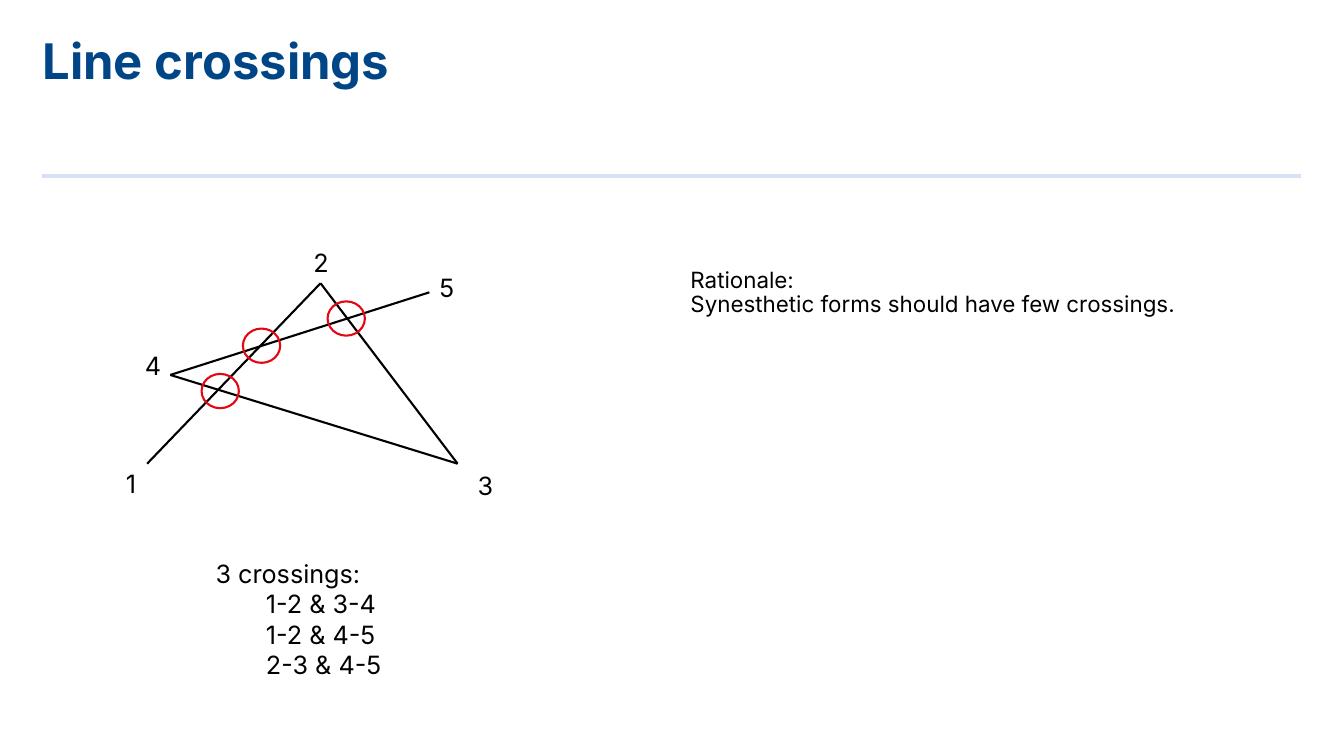
import copy
import itertools

import pptx
import pptx.dml.color
import pptx.enum.shapes
import pptx.enum.text
import pptx.oxml
import pptx.oxml.ns
import pptx.util

COLUMNS, ROWS = 133.33, 75  # grid of tenths of an inch
FONT = "Inter"
NAVY, PALE_BLUE, BLACK, RED = "004687", "D7E3F5", "000000", "E30613"

# Node number: (position, top left of its label), in cells of the diagram box
NODES = {
    1: ((4.6, 26), (1.5, 26)),
    2: ((21.8, 8.1), (20.1, 4)),
    3: ((35.4, 26), (36.4, 26.2)),
    4: ((6.9, 17.2), (3.4, 14.3)),
    5: ((32.6, 9), (32.6, 6.5)),
}
CROSSING_CENTRES = [(24.35, 11.6), (15.95, 14.3), (11.85, 18.8)]
CROSSING_SIZE = (3.7, 3.4)
LABEL_SIZE = (6, 4)


def cells(*counts):
    return [pptx.util.Inches(count / 10) for count in counts]


def colour(value):
    return pptx.dml.color.RGBColor.from_string(value)


def set_attributes(target, values):
    for name, value in values.items():
        setattr(target, name, value)


def format_runs(paragraph, size, hex_colour, bold=False):
    for run in paragraph.runs:
        set_attributes(run.font, {"name": FONT, "size": pptx.util.Pt(size), "bold": bold})
        run.font.color.rgb = colour(hex_colour)
    for line_break in paragraph._p.findall(pptx.oxml.ns.qn("a:br")):
        line_break.append(copy.deepcopy(paragraph.runs[0].font._element))


def add_line(slide, start, end, hex_colour, width):
    line = slide.shapes.add_connector(
        pptx.enum.shapes.MSO_CONNECTOR.STRAIGHT, *cells(*start, *end))
    line.line.color.rgb = colour(hex_colour)
    line.line.width = pptx.util.Pt(width)
    properties = line._element.spPr
    properties.append(properties.makeelement(pptx.oxml.ns.qn("a:effectLst"), {}))


def fill_placeholder(placeholder, box, text, size, hex_colour, bold=False, space_before=0):
    set_attributes(placeholder, dict(zip(("left", "top", "width", "height"), cells(*box))))
    frame = placeholder.text_frame
    set_attributes(frame, {
        "margin_left": 0, "margin_top": 0, "margin_right": 0, "margin_bottom": 0,
        "word_wrap": True,
        "auto_size": pptx.enum.text.MSO_AUTO_SIZE.NONE,
        "vertical_anchor": pptx.enum.text.MSO_ANCHOR.TOP,
    })
    paragraph = frame.paragraphs[0]
    paragraph.text = text
    set_attributes(paragraph, {
        "alignment": pptx.enum.text.PP_ALIGN.LEFT,
        "line_spacing": 0.9,
        "space_before": pptx.util.Pt(space_before),
    })
    format_runs(paragraph, size, hex_colour, bold)
    properties = paragraph._p.get_or_add_pPr()
    properties.set("marL", "0")
    properties.set("indent", "0")
    properties.append(properties.makeelement(pptx.oxml.ns.qn("a:buNone"), {}))


def add_text(slide, box, lines):
    """Add a text box from (text, level) pairs, indenting by level."""
    frame = slide.shapes.add_textbox(*cells(*box)).text_frame
    set_attributes(frame, {
        "word_wrap": True,
        "auto_size": pptx.enum.text.MSO_AUTO_SIZE.SHAPE_TO_FIT_TEXT,
    })
    for index, (text, level) in enumerate(lines):
        paragraph = frame.add_paragraph() if index else frame.paragraphs[0]
        set_attributes(paragraph, {"text": text, "level": level})
        paragraph._p.get_or_add_pPr().set("marL", str(level * pptx.util.Inches(0.5)))
        format_runs(paragraph, 18, BLACK)


def add_header(slide, box):
    left, top, width, height = box
    fill_placeholder(slide.shapes.title, box, "Line crossings", 35, NAVY, bold=True)
    rule_top = top + height + 2
    add_line(slide, (left, rule_top), (left + width, rule_top), PALE_BLUE, 2.75)


def add_diagram(slide, box):
    left, top, width, height = box

    def place(point):
        return left + point[0], top + point[1]

    positions = [place(position) for position, _ in NODES.values()]
    for start, end in itertools.pairwise(positions):
        add_line(slide, start, end, BLACK, 1.5)

    for centre in CROSSING_CENTRES:
        x, y = place(centre)
        ring_width, ring_height = CROSSING_SIZE
        ring = slide.shapes.add_shape(
            pptx.enum.shapes.MSO_SHAPE.OVAL,
            *cells(x - ring_width / 2, y - ring_height / 2, ring_width, ring_height))
        ring.shadow.inherit = False
        ring.fill.background()
        ring.line.color.rgb = colour(RED)
        ring.line.width = pptx.util.Pt(1.5)

    for number, (_, label) in NODES.items():
        add_text(slide, (*place(label), *LABEL_SIZE), [(str(number), 0)])

    crossings = ["1-2 & 3-4", "1-2 & 4-5", "2-3 & 4-5"]
    add_text(slide, (left + 10.4, top + height - 13.1, width - 17, 13.1),
             [("3 crossings:", 0)] + [(pair, 1) for pair in crossings])


def add_rationale(slide, box):
    fill_placeholder(slide.placeholders[1], box,
                     "Rationale:\vSynesthetic forms should have few crossings.",
                     16, BLACK, space_before=10)


def main():
    presentation = pptx.Presentation()
    presentation.slide_width, presentation.slide_height = cells(COLUMNS, ROWS)
    slide = presentation.slides.add_slide(presentation.slide_layouts[1])
    add_header(slide, (4.2, 3.7, 124.9, 11.8))
    add_rationale(slide, (68.5, 26.7, 60.6, 43.9))
    add_diagram(slide, (10, 20, 42.4, 48))
    presentation.save("out.pptx")


if __name__ == "__main__":
    main()
